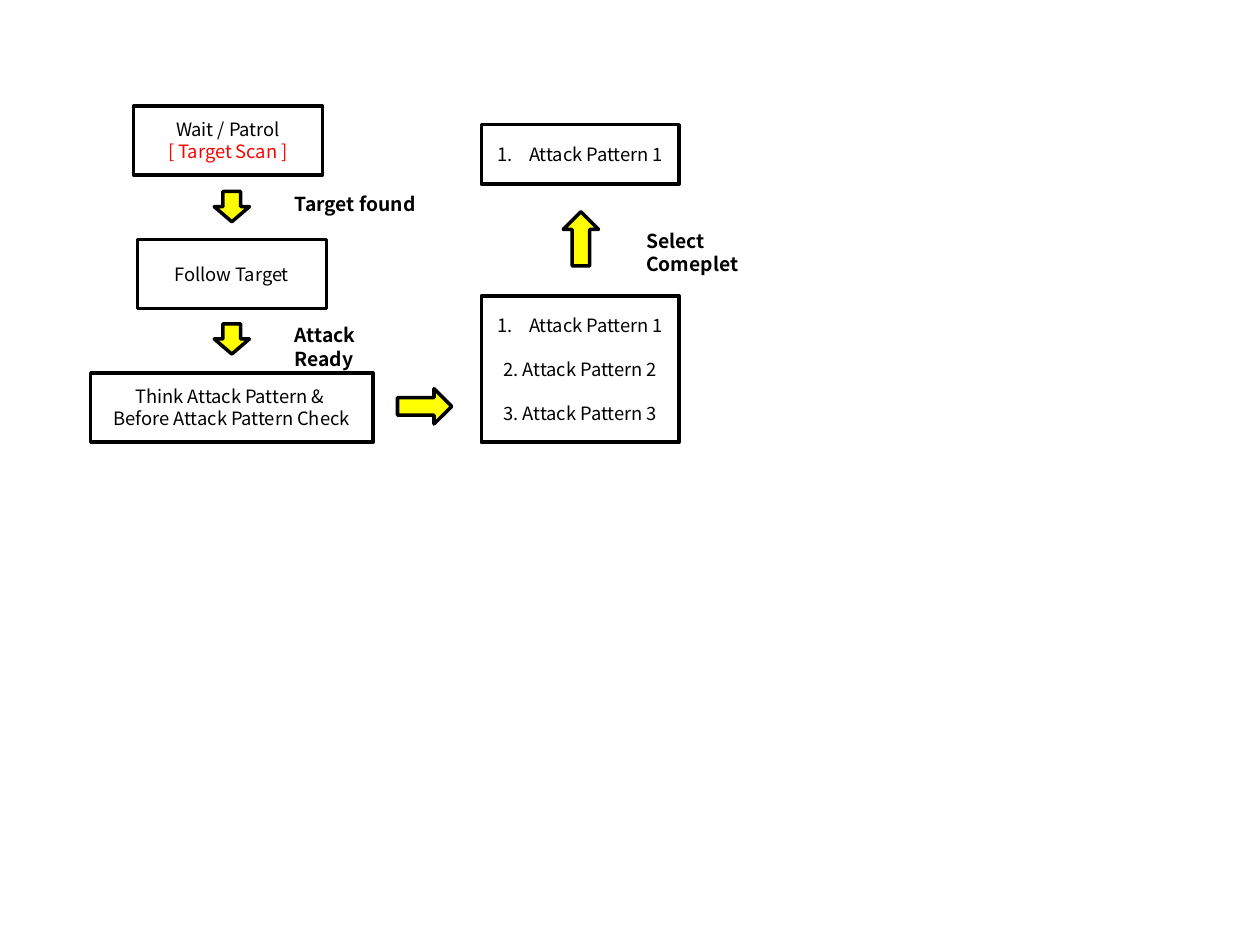
from pptx import Presentation
from pptx.dml.color import RGBColor
from pptx.enum.shapes import MSO_SHAPE
from pptx.enum.text import MSO_ANCHOR, PP_ALIGN
from pptx.oxml.ns import qn
from pptx.util import Inches, Pt
from lxml.etree import SubElement

COLORS = {"ink": "000000", "paper": "FFFFFF", "arrow": "FFFF00", "scan": "FF0000"}


class Flow:
    face = "Noto Sans CJK KR"

    def __init__(self, slide):
        self.slide = slide

    def color(self, name):
        return RGBColor.from_string(COLORS[name])

    def style(self, para, size, ink="ink", bold=False):
        font = para.font
        font.name, font.size, font.bold = self.face, Pt(size), bold
        font.color.rgb = self.color(ink)

    def shape(self, kind, fill, *place):
        item = self.slide.shapes.add_shape(kind, *map(Inches, place))
        item.shadow.inherit = False
        item.fill.solid()
        item.fill.fore_color.rgb = self.color(fill)
        item.line.color.rgb = self.color("ink")
        item.line.width = Pt(2)
        return item

    def box(self, lines, *place, number=False, gap=0, inks=()):
        frame = self.shape(MSO_SHAPE.RECTANGLE, "paper", *place).text_frame
        frame.word_wrap = True
        frame.vertical_anchor = MSO_ANCHOR.MIDDLE
        for i, line in enumerate(lines):
            para = frame.add_paragraph() if i else frame.paragraphs[0]
            para.text = line
            para.alignment = PP_ALIGN.CENTER
            if i and gap:
                para.space_before = Pt(gap)
            if number and i == 0:
                self.number(para)
            self.style(para, 10.5, inks[i] if inks else "ink")

    def number(self, para):
        props = para._p.get_or_add_pPr()
        props.set("marL", str(Inches(0.25)))
        props.set("indent", str(-Inches(0.25)))
        SubElement(props, qn("a:buFont")).set("typeface", "+mj-lt")
        SubElement(props, qn("a:buAutoNum")).set("type", "arabicPeriod")

    def arrow(self, x, y, height, turn=0):
        item = self.shape(MSO_SHAPE.DOWN_ARROW, "arrow", x, y, 0.28, height)
        item.rotation = turn

    def label(self, text, x, y, width):
        item = self.slide.shapes.add_textbox(*map(Inches, (x, y, width, 0.29)))
        frame = item.text_frame
        frame.word_wrap = True
        para = frame.paragraphs[0]
        para.text = text
        self.style(para, 11, bold=True)


def main():
    deck = Presentation()
    deck.slide_width, deck.slide_height = Inches(10), Inches(7.5)
    flow = Flow(deck.slides.add_slide(deck.slide_layouts[6]))

    # Search and follow
    flow.box(["Wait / Patrol", "[ Target Scan ]"], 1.06, 0.84, 1.5, 0.55,
             inks=("ink", "scan"))
    flow.box(["Follow Target"], 1.09, 1.9, 1.5, 0.55)
    flow.box(["Think Attack Pattern & \vBefore Attack Pattern Check"],
             0.72, 2.96, 2.24, 0.55)

    # Attack choice
    first = "Attack Pattern 1"
    flow.box([first, "2. Attack Pattern 2", "3. Attack Pattern 3"],
             3.82, 2.35, 1.57, 1.16, number=True, gap=12.6)
    flow.box([first], 3.82, 0.99, 1.57, 0.47, number=True)

    # Arrows between steps
    for y in (1.52, 2.57):
        flow.arrow(1.7, y, 0.24)
    flow.arrow(3.23, 3.01, 0.43, turn=270)
    flow.arrow(4.47, 1.68, 0.43, turn=180)

    # Conditions
    flow.label("Target found", 2.24, 1.48, 1.17)
    flow.label("Attack Ready", 2.24, 2.52, 1.15)
    flow.label("Select Comeplet", 5.03, 1.77, 1.35)

    deck.save("out.pptx")


if __name__ == "__main__":
    main()
